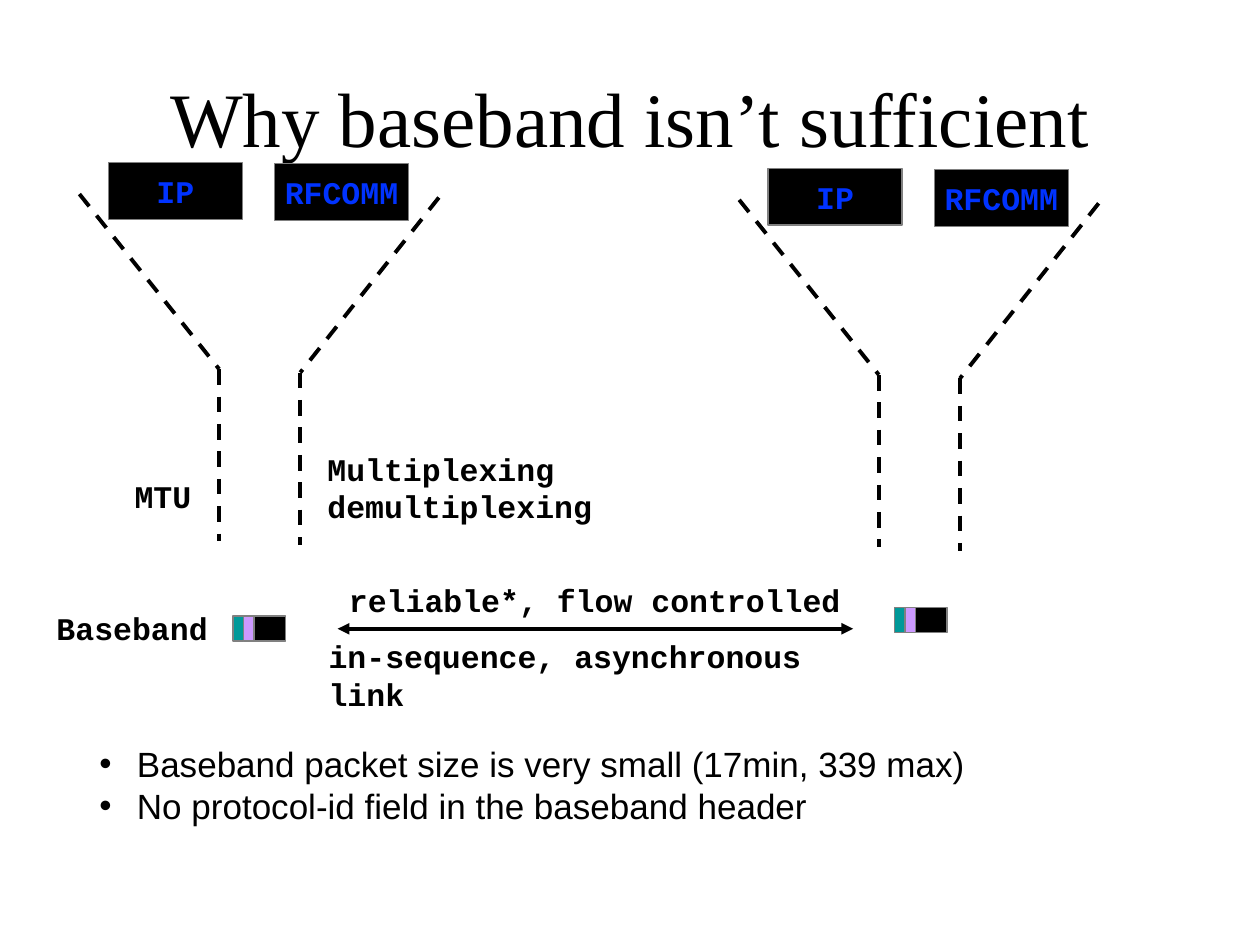
from lxml.etree import SubElement
from pptx import Presentation
from pptx.dml.color import RGBColor
from pptx.enum.dml import MSO_LINE
from pptx.enum.shapes import MSO_CONNECTOR, MSO_SHAPE
from pptx.enum.text import MSO_ANCHOR, PP_ALIGN
from pptx.oxml.ns import qn
from pptx.util import Pt

COLORS = {"black": "000000", "gray": "808080", "blue": "0033FF",
          "teal": "009999", "lilac": "CC99FF"}


def color(name):
    return RGBColor.from_string(COLORS[name])


def add_run(para, text, size=18, face="Courier New", tint="black", bold=True):
    run = para.add_run()
    run.text = text
    font = run.font
    font.size, font.name, font.bold = Pt(size), face, bold
    font.color.rgb = color(tint)


def add_rect(slide, box, fill):
    rect = slide.shapes.add_shape(MSO_SHAPE.RECTANGLE, *map(Pt, box))
    rect.shadow.inherit = False
    rect.fill.solid()
    rect.fill.fore_color.rgb = color(fill)
    rect.line.color.rgb = color("gray")
    rect.line.width = Pt(0.75)
    return rect


def add_line(slide, start, end, dash=True):
    line = slide.shapes.add_connector(
        MSO_CONNECTOR.STRAIGHT, *map(Pt, start + end))
    line.line.color.rgb = color("black")
    line.line.width = Pt(2.25)
    if dash:
        line.line.dash_style = MSO_LINE.DASH
    SubElement(line._element.spPr, qn("a:effectLst"))
    return line


def add_title(slide, box):
    title = slide.shapes.title
    title.left, title.top, title.width, title.height = map(Pt, box)
    frame = title.text_frame
    frame.vertical_anchor = MSO_ANCHOR.MIDDLE
    para = frame.paragraphs[0]
    para.alignment = PP_ALIGN.CENTER
    add_run(para, "Why baseband isn’t sufficient", 44, "Times New Roman", bold=False)


def add_label(slide, box, lines):
    frame = slide.shapes.add_textbox(*map(Pt, box)).text_frame
    frame.word_wrap = False
    for i, text in enumerate(lines):
        para = frame.add_paragraph() if i else frame.paragraphs[0]
        add_run(para, text)


def add_funnel(slide, left, top):
    for text, x, y in (("IP", 16.5, 0), ("RFCOMM", 111.5, 0.7)):
        rect = add_rect(slide, (left + x, top + y, 76.5, 32.4), "black")
        frame = rect.text_frame
        frame.word_wrap = False
        frame.vertical_anchor = MSO_ANCHOR.MIDDLE
        para = frame.paragraphs[0]
        para.alignment = PP_ALIGN.CENTER
        add_run(para, text, tint="blue")
    for rim, neck, y in ((0, 79.8, 18), (205.4, 126.2, 20)):
        bend = (left + neck, top + y + 100)
        add_line(slide, (left + rim, top + y), bend)
        add_line(slide, bend, (bend[0], bend[1] + 98.4))


def add_packet(slide, left, top):
    for fill, x, width in (("teal", 0, 6), ("lilac", 6, 6), ("black", 12, 18)):
        add_rect(slide, (left + x, top, width, 14.4), fill)


def add_link(slide, left, top, width):
    line = add_line(slide, (left, top), (left + width, top), dash=False)
    stroke = line.line._get_or_add_ln()
    for tag in ("a:headEnd", "a:tailEnd"):
        SubElement(stroke, qn(tag), type="triangle")
    add_label(slide, (left - 0.7, top - 31, 295, 28.8), ["reliable*, flow controlled"])
    add_label(slide, (left - 12.3, top + 1.4, 338, 28.8),
              ["in-sequence, asynchronous link"])


def add_notes(slide, box, lines):
    frame = slide.shapes.add_textbox(*map(Pt, box)).text_frame
    frame.word_wrap = True
    frame.vertical_anchor = MSO_ANCHOR.MIDDLE
    for i, text in enumerate(lines):
        para = frame.add_paragraph() if i else frame.paragraphs[0]
        props = para._p.get_or_add_pPr()
        props.set("marL", str(Pt(21.5)))
        props.set("indent", str(-Pt(21.5)))
        SubElement(props, qn("a:buFont"), typeface="Arial")
        SubElement(props, qn("a:buChar"), char="•")
        add_run(para, text, 20, "Arial", bold=False)


def main():
    deck = Presentation()
    deck.slide_width, deck.slide_height = Pt(720), Pt(540)
    slide = deck.slides.add_slide(deck.slide_layouts[5])
    add_title(slide, (36, 21.6, 648, 90))
    add_funnel(slide, 45.4, 92.9)
    add_funnel(slide, 422.4, 96.2)
    add_packet(slide, 133.2, 352)
    add_packet(slide, 511.2, 347)
    add_link(slide, 193, 359.3, 294.5)
    add_label(slide, (69.8, 269.3, 46.8, 28.8), ["MTU"])
    add_label(slide, (180, 253.4, 165.6, 50.4), ["Multiplexing", "demultiplexing"])
    add_label(slide, (25.2, 344.2, 100.8, 28.8), ["Baseband"])
    add_notes(slide, (49.7, 420.5, 648, 55.4),
              ["Baseband packet size is very small (17min, 339 max)",
               "No protocol-id field in the baseband header"])
    deck.save("out.pptx")


if __name__ == "__main__":
    main()
